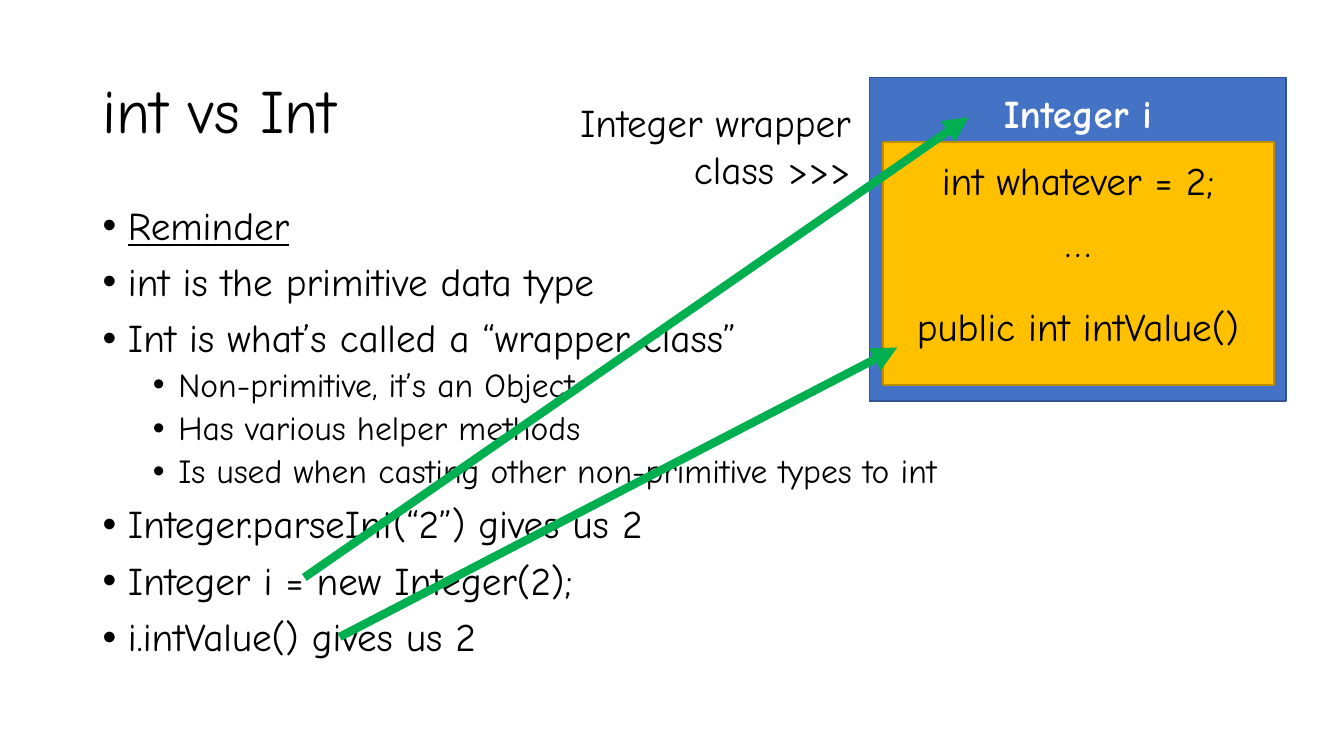
from lxml import etree
from pptx import Presentation
from pptx.dml.color import RGBColor
from pptx.enum.shapes import MSO_CONNECTOR, MSO_SHAPE
from pptx.enum.text import MSO_ANCHOR, MSO_AUTO_SIZE, PP_ALIGN
from pptx.oxml.ns import qn
from pptx.util import Cm, Pt

LEFT, CENTER, RIGHT = PP_ALIGN.LEFT, PP_ALIGN.CENTER, PP_ALIGN.RIGHT
RECTANGLE = MSO_SHAPE.RECTANGLE
STRAIGHT = MSO_CONNECTOR.STRAIGHT
MIDDLE, TOP = MSO_ANCHOR.MIDDLE, MSO_ANCHOR.TOP
NO_AUTOFIT = MSO_AUTO_SIZE.NONE


def color(hex_string):
    return RGBColor.from_string(hex_string)


def format_paragraph(paragraph, size, hex_string, alignment):
    paragraph.alignment = alignment
    paragraph.font.name = "Comic Neue"
    paragraph.font.size = Pt(size)
    paragraph.font.color.rgb = color(hex_string)


presentation = Presentation()
presentation.slide_width, presentation.slide_height = Cm(33.87), Cm(19.05)
slide = presentation.slides.add_slide(presentation.slide_layouts[1])

# Title and bullet list
title, body = slide.placeholders
title.left, title.top, title.width, title.height = Cm(2.33), Cm(1.01), Cm(29.21), Cm(3.68)
title.text_frame.text = "int vs Int"
title.text_frame.vertical_anchor = MIDDLE
title.text_frame.auto_size = NO_AUTOFIT
title_paragraph = title.text_frame.paragraphs[0]
title_paragraph.line_spacing = 0.9
format_paragraph(title_paragraph, 44, "000000", LEFT)

bullets = [
    (0, "Reminder"),
    (0, "int is the primitive data type"),
    (0, "Int is what’s called a “wrapper class”"),
    (1, "Non-primitive, it’s an Object"),
    (1, "Has various helper methods"),
    (1, "Is used when casting other non-primitive types to int"),
    (0, "Integer.parseInt(“2”) gives us 2"),
    (0, "Integer i = new Integer(2);"),
    (0, "i.intValue() gives us 2"),
]
level_styles = [(28, 10, 0.64), (24, 5, 1.91)]  # size, space before, indent

body.left, body.top, body.width, body.height = Cm(2.33), Cm(5.07), Cm(29.21), Cm(12.22)
body.text_frame.text = "\n".join(text for level, text in bullets)
body.text_frame.vertical_anchor = TOP
body.text_frame.auto_size = NO_AUTOFIT
for paragraph, (level, text) in zip(body.text_frame.paragraphs, bullets):
    size, space_before, indent = level_styles[level]
    paragraph.level = level
    paragraph.line_spacing = 0.9
    paragraph.space_before = Pt(space_before)
    properties = paragraph._p.get_or_add_pPr()
    properties.set("marL", str(Cm(indent)))
    properties.set("indent", str(-Cm(0.64)))
    etree.SubElement(properties, qn("a:buFont"), typeface="Arial")
    etree.SubElement(properties, qn("a:buChar"), char="•")
    format_paragraph(paragraph, size, "000000", LEFT)
body.text_frame.paragraphs[0].font.underline = True

# Wrapper class box with its inner box
boxes = [
    (21.92, 1.96, 10.49, 8.15, "4472C4", "325491"),
    (22.25, 3.58, 9.86, 6.12, "FFC000", "BD8E00"),
]
for left, top, width, height, fill, line in boxes:
    box = slide.shapes.add_shape(RECTANGLE, Cm(left), Cm(top), Cm(width), Cm(height))
    box.shadow.inherit = False
    box.fill.solid()
    box.fill.fore_color.rgb = color(fill)
    box.line.color.rgb = color(line)
    box.line.width = Pt(1)

labels = [
    (21.92, 2.13, 10.49, 1.45, "Integer i", "FFFFFF", CENTER, True),
    (21.92, 3.81, 10.49, 1.45, "int whatever = 2;", "000000", CENTER, False),
    (21.92, 5.38, 10.49, 1.45, "…", "000000", CENTER, False),
    (21.92, 7.49, 10.49, 1.45, "public int intValue()", "000000", CENTER, False),
    (12.95, 2.36, 8.74, 2.64, "Integer wrapper\nclass >>>", "000000", RIGHT, False),
]
for left, top, width, height, text, hex_string, alignment, bold in labels:
    label = slide.shapes.add_textbox(Cm(left), Cm(top), Cm(width), Cm(height))
    label.text_frame.word_wrap = True
    label.text_frame.text = text
    for paragraph in label.text_frame.paragraphs:
        format_paragraph(paragraph, 28, hex_string, alignment)
        paragraph.font.bold = bold

# Arrows from the code lines to the class
arrows = [(7.67, 14.55, 24.41, 2.95), (8.56, 16.05, 22.61, 8.76)]
for start_x, start_y, end_x, end_y in arrows:
    arrow = slide.shapes.add_connector(STRAIGHT, Cm(start_x), Cm(start_y), Cm(end_x), Cm(end_y))
    arrow.line.color.rgb = color("00B050")
    arrow.line.width = Pt(6)
    etree.SubElement(arrow.line._get_or_add_ln(), qn("a:tailEnd"), type="triangle")
    etree.SubElement(arrow._element.spPr, qn("a:effectLst"))

presentation.save("out.pptx")
